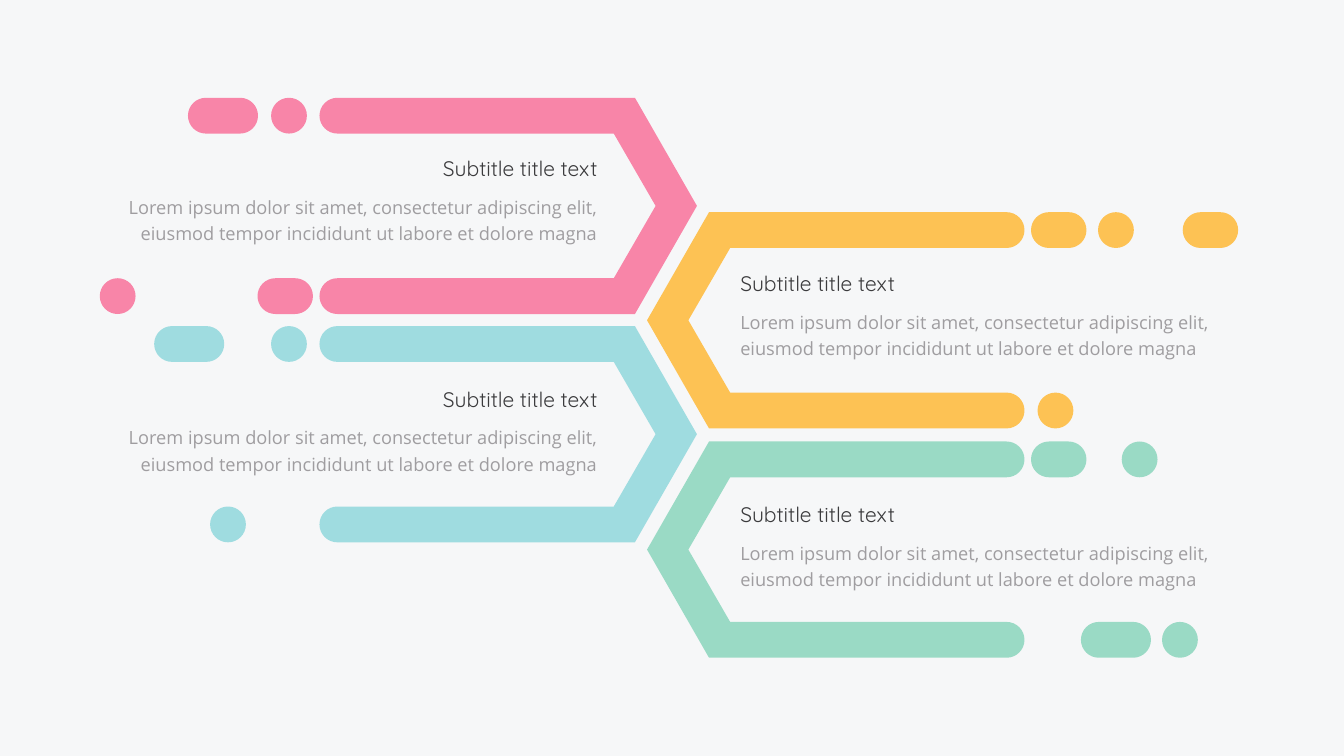
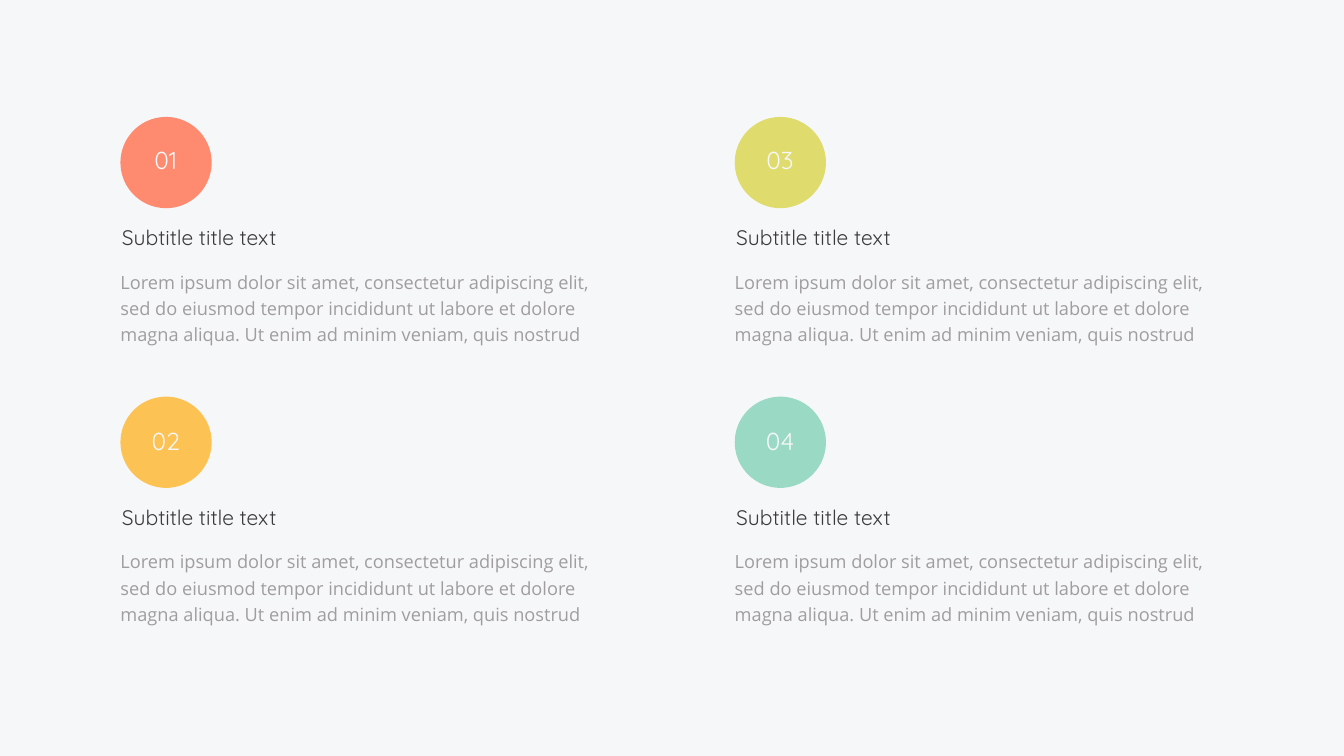
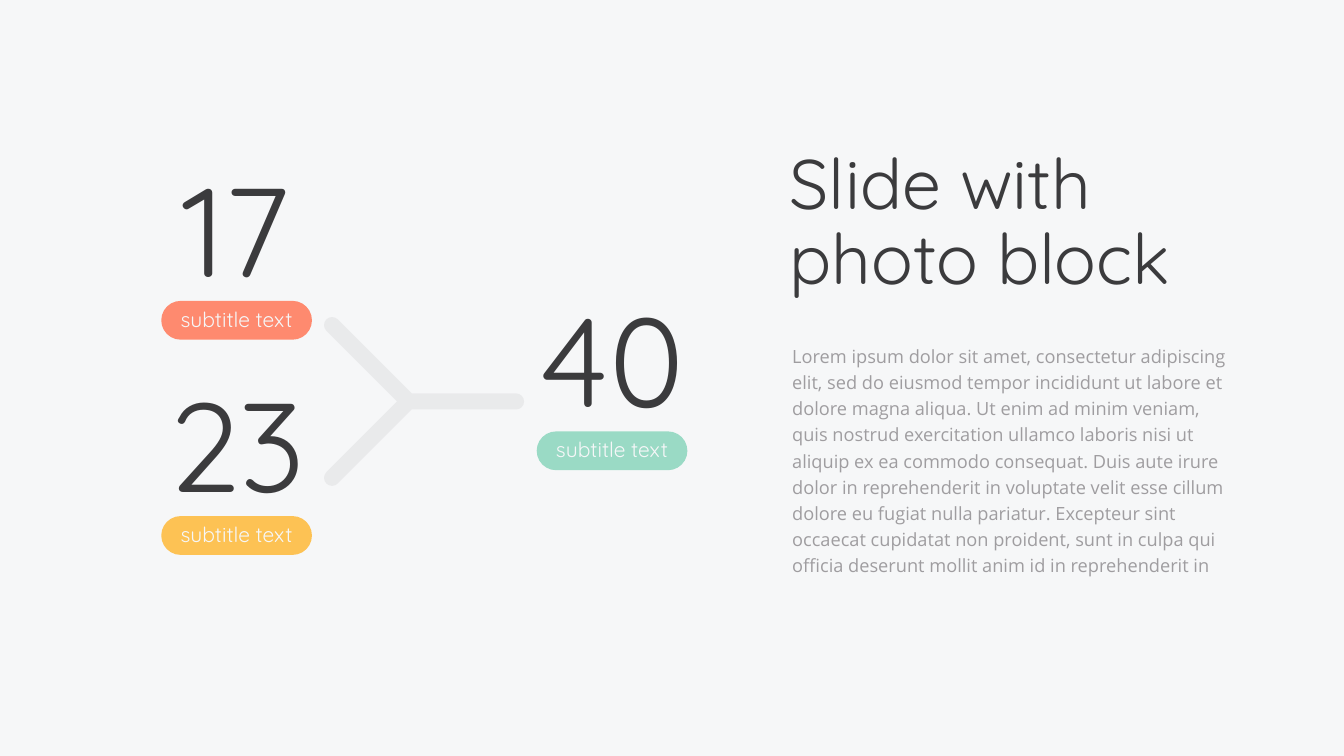
from itertools import pairwise
from math import cos, radians, sin, sqrt, tan

from lxml import etree
from pptx import Presentation
from pptx.dml.color import RGBColor
from pptx.enum.shapes import MSO_SHAPE
from pptx.enum.text import MSO_ANCHOR, MSO_AUTO_SIZE, PP_ALIGN
from pptx.oxml.ns import qn
from pptx.util import Inches, Pt

LEFT, CENTER, RIGHT = PP_ALIGN.LEFT, PP_ALIGN.CENTER, PP_ALIGN.RIGHT
TOP, MIDDLE = MSO_ANCHOR.TOP, MSO_ANCHOR.MIDDLE
FIT_SHAPE = MSO_AUTO_SIZE.SHAPE_TO_FIT_TEXT
ELLIPSE, PILL = MSO_SHAPE.OVAL, MSO_SHAPE.ROUNDED_RECTANGLE

SLIDE_WIDTH, SLIDE_HEIGHT = Inches(26.67), Inches(15)
GRID_ROWS = 15
TITLE_ONLY, BLANK = 5, 6

PAPER, INK, GREY = "F6F7F8", "3B3B3D", "9F9DA0"
PINK, YELLOW, TEAL = "F885A8", "FDC254", "9FDCE0"
GREEN, CORAL, LIME = "9ADAC5", "FE8A6F", "DFDC6D"

HEADING = dict(size=30, font="Quicksand", color=INK, anchor=MIDDLE, line_spacing=0.9)
BODY = dict(size=26, font="Open Sans", color=GREY, anchor=TOP, line_spacing=1.2, space_before=20)

SUBTITLE = "Subtitle title text"
LOREM = "Lorem ipsum dolor sit amet, consectetur adipiscing elit, "
BRACKET_TEXT = LOREM + "eiusmod tempor incididunt ut labore et dolore magna"
CARD_TEXT = (LOREM + "sed do eiusmod tempor incididunt ut labore et dolore magna aliqua. "
             "Ut enim ad minim veniam, quis nostrud ")
LONG_TEXT = CARD_TEXT + (
    "exercitation ullamco laboris nisi ut aliquip ex ea commodo consequat. "
    "Duis aute irure dolor in reprehenderit in voluptate velit esse cillum dolore eu fugiat "
    "nulla pariatur. Excepteur sint occaecat cupidatat non proident, sunt in culpa qui officia "
    "deserunt mollit anim id in reprehenderit in")

BRACKET_WIDTH, BRACKET_HEIGHT, BAR = 7.49, 4.29, 0.71
SHORT, LONG = 1.1, 1.39
RIGHT_TIP, LEFT_TIP = 13.83, 12.84
TEXT_TOPS = [3.08 + 2.29 * step for step in range(4)]
BRACKETS = [
    (YELLOW, LEFT_TIP, 4.21, TEXT_TOPS[1], 1,
     [(7.62, SHORT), (8.95, BAR), (10.63, SHORT)], [(7.75, BAR)]),
    (GREEN, LEFT_TIP, 8.76, TEXT_TOPS[3], 1,
     [(7.62, SHORT), (9.42, BAR)], [(8.61, LONG), (10.22, BAR)]),
    (PINK, RIGHT_TIP, 1.94, TEXT_TOPS[0], -1,
     [(7.74, BAR), (8.71, LONG)], [(7.62, SHORT), (11.14, BAR)]),
    (TEAL, RIGHT_TIP, 6.47, TEXT_TOPS[2], -1,
     [(7.74, BAR), (9.38, LONG)], [(8.95, BAR)]),
]


def grid(value):
    """Turn a number of grid rows into a length."""
    return round(value * SLIDE_HEIGHT / GRID_ROWS)


def rgb(color):
    """Turn a hex string into a colour."""
    return RGBColor.from_string(color)


def paint(shape, color, alpha=None):
    """Give a shape a flat fill without line or shadow."""
    shape.shadow.inherit = False
    shape.fill.solid()
    shape.fill.fore_color.rgb = rgb(color)
    shape.line.fill.background()
    if alpha is not None:
        fill = shape.element.find(".//" + qn("a:srgbClr"))
        etree.SubElement(fill, qn("a:alpha")).set("val", str(alpha * 1000))


def write(parent, text, box, size, font, color, anchor, line_spacing,
          align=LEFT, space_before=0, wrap=True, shape=None):
    """Write text into a new text box or a given placeholder."""
    left, top, width, height = map(grid, box)
    if shape is None:
        shape = parent.shapes.add_textbox(left, top, width, height)
    else:
        shape.left, shape.top, shape.width, shape.height = left, top, width, height
    frame = shape.text_frame
    frame.text = text
    frame.word_wrap = wrap
    frame.auto_size = FIT_SHAPE
    frame.vertical_anchor = anchor
    frame.margin_left = frame.margin_right = frame.margin_top = frame.margin_bottom = grid(0.06)
    paragraph = frame.paragraphs[0]
    paragraph.alignment = align
    paragraph.line_spacing = line_spacing
    paragraph.space_before = Pt(space_before)
    run_font = paragraph.runs[0].font
    run_font.size, run_font.name = Pt(size), font
    run_font.color.rgb = rgb(color)


def add_preset(parent, kind, box, color):
    """Add a flat preset shape."""
    shape = parent.shapes.add_shape(kind, *map(grid, box))
    paint(shape, color)
    return shape


def lines(*points):
    """List straight segments to the given points."""
    return [(point,) for point in points]


def arc(center_x, center_y, radius, *angles):
    """List a straight segment to an arc, then one curve between each two angles."""
    def place(angle, along=0):
        """Find a point on the circle, moved along its tangent."""
        turn = radians(angle)
        return (center_x + radius * (cos(turn) - along * sin(turn)),
                center_y + radius * (sin(turn) + along * cos(turn)))

    segments = lines(place(angles[0]))
    for start, end in pairwise(angles):
        handle = 4 / 3 * tan(radians(end - start) / 4)
        segments.append((place(start, handle), place(end, -handle), place(end)))
    return segments


def bend(shape, contours):
    """Join the three points of each curved segment into one curve."""
    outline = shape.element.find(".//" + qn("a:path"))
    steps = iter([step for step in outline if step.tag != qn("a:close")])
    for contour in contours:
        for segment in contour:
            first, *others = [next(steps) for point in segment]
            if others:
                first.tag = qn("a:cubicBezTo")
            for step in others:
                first.append(step[0])
                outline.remove(step)


def add_outline(parent, contours, color, alpha=None):
    """Draw closed contours of lines and curves as one freeform."""
    builder = None
    for contour in contours:
        points = [(grid(x), grid(y)) for segment in contour for x, y in segment]
        if builder is None:
            builder = parent.shapes.build_freeform(*points[0])
        else:
            builder.move_to(*points[0])
        builder.add_line_segments(points[1:], close=True)
    shape = builder.convert_to_shape()
    bend(shape, contours)
    paint(shape, color, alpha)


def dash_contour(start, top, width):
    """Outline a circle or a round-ended dash."""
    radius = BAR / 2
    middle = top + radius
    if width == BAR:
        return arc(start + radius, middle, radius, 90, 0, -90, -180, -270)
    return (arc(start + width - radius, middle, radius, 90, 0, -90)
            + arc(start + radius, middle, radius, -90, -180, -270))


def bracket_contour():
    """Outline a bracket whose tip is at distance zero."""
    radius, middle, bottom = BAR / 2, BRACKET_HEIGHT / 2, BRACKET_HEIGHT
    cap = BRACKET_WIDTH - radius
    return (lines((1.23, 0), (0, middle), (1.23, bottom))
            + arc(cap, bottom - radius, radius, 90, 0, -90)
            + lines((1.65, bottom - BAR), (0.82, middle), (1.65, BAR))
            + arc(cap, radius, radius, 90, 0, -90))


def move(contour, left, top, direction=1):
    """Shift a contour, mirrored when the direction is negative."""
    return [tuple((left + direction * x, top + y) for x, y in segment) for segment in contour]


def add_bracket(slide, color, tip, top, text_top, direction, top_dashes, bottom_dashes):
    """Draw a bracket with its dashes and the text inside it."""
    contours = [bracket_contour()]
    contours += [dash_contour(start, 0, width) for start, width in top_dashes]
    contours += [dash_contour(start, BRACKET_HEIGHT - BAR, width) for start, width in bottom_dashes]
    add_outline(slide, [move(contour, tip, top, direction) for contour in contours], color)
    parts = [(SUBTITLE, 0, 3.51, 0.57, HEADING), (BRACKET_TEXT, 0.66, 9.51, 1.13, BODY)]
    for text, offset, width, height, style in parts:
        left, align = (tip + 1.79, LEFT) if direction > 0 else (tip - 1.91 - width, RIGHT)
        write(slide, text, (left, text_top + offset, width, height), align=align, **style)


def add_card(slide, left, top, number, number_offset, color):
    """Place a numbered circle over a subtitle and its text."""
    write(slide, CARD_TEXT, (left - 0.06, top + 2.91, 9.82, 1.65), **BODY)
    write(slide, SUBTITLE, (left - 0.03, top + 2.14, 5.74, 0.57), **HEADING)
    add_preset(slide, ELLIPSE, (left, top, 1.81, 1.81), color)
    write(slide, number, (left + 0.3, top + number_offset, 1.2, 0.64), align=CENTER,
          **{**HEADING, "size": 35, "color": PAPER})


def add_statistic(group, left, top, number, number_width, color):
    """Place a large number over a labelled pill."""
    width, height = 2.99, 0.77
    pill = add_preset(group, PILL, (left, top, width, height), color)
    pill.adjustments[0] = 0.5
    number_left = left + (width - number_width) / 2
    write(group, number, (number_left, top - 2.7, number_width, 2.84), align=CENTER,
          wrap=False, **{**HEADING, "size": 180})
    write(group, "subtitle text", (left + 0.06, top + 0.1, 2.87, 0.57), align=CENTER,
          **{**HEADING, "color": PAPER})


def add_junction(group, left, top, width, height):
    """Draw two diagonal arms that merge into one."""
    radius, middle = 0.16, height / 2
    inner, outer = middle - radius * sqrt(2), middle + radius * tan(radians(22.5))
    contour = (arc(radius, radius, radius, 135, 180, 270, 315)
               + lines((outer, middle - radius))
               + arc(width - radius, middle, radius, -90, 0, 90)
               + lines((outer, middle + radius))
               + arc(radius, height - radius, radius, 45, 90, 180, 225)
               + lines((inner, middle)))
    add_outline(group, [move(contour, left, top)], GREY, alpha=14)


def build_bracket_slide(slide):
    """Build the slide of four interlocking brackets."""
    for bracket in BRACKETS:
        add_bracket(slide, *bracket)


def build_card_slide(slide):
    """Build the two by two grid of numbered cards."""
    for index, color in enumerate([CORAL, YELLOW, LIME, GREEN]):
        column, row = divmod(index, 2)
        add_card(slide, 2.39 + 12.19 * column, 2.32 + 5.55 * row,
                 f"{index + 1:02}", 0.56 + 0.04 * row, color)


def build_sum_slide(slide):
    """Build the slide where two numbers add up to a third."""
    group = slide.shapes.add_group_shape()
    add_junction(group, 6.43, 6.29, 3.97, 3.35)
    add_statistic(group, 3.2, 5.97, "17", 2.37, CORAL)
    add_statistic(group, 3.2, 10.24, "23", 3.02, YELLOW)
    add_statistic(group, 10.65, 8.56, "40", 3.54, GREEN)
    write(slide, "Slide with photo block", (15.61, 2.88, 8.63, 3.14),
          shape=slide.shapes.title, **{**HEADING, "size": 100})
    write(slide, LONG_TEXT, (15.66, 6.7, 8.74, 4.8), **BODY)


def main():
    """Build and save the presentation."""
    presentation = Presentation()
    presentation.slide_width, presentation.slide_height = SLIDE_WIDTH, SLIDE_HEIGHT
    background = presentation.slide_master.background.fill
    background.solid()
    background.fore_color.rgb = rgb(PAPER)
    pages = [(BLANK, build_bracket_slide), (BLANK, build_card_slide), (TITLE_ONLY, build_sum_slide)]
    for layout, build in pages:
        build(presentation.slides.add_slide(presentation.slide_layouts[layout]))
    presentation.save("out.pptx")


main()
